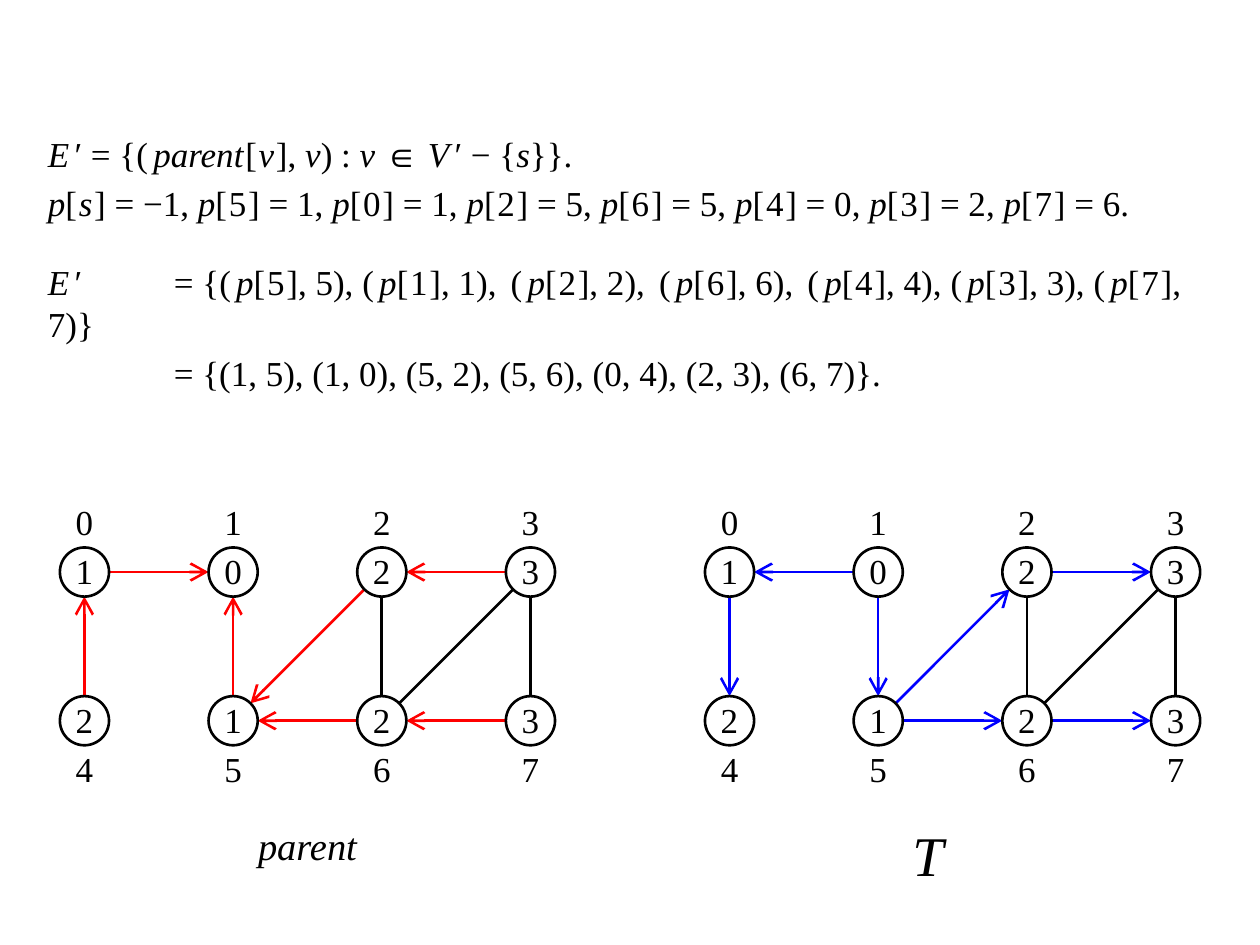
from dataclasses import dataclass
from itertools import groupby
from math import hypot

from pptx import Presentation
from pptx.dml.color import RGBColor
from pptx.enum.shapes import MSO_CONNECTOR, MSO_SHAPE
from pptx.enum.text import MSO_ANCHOR, MSO_AUTO_SIZE, PP_ALIGN
from pptx.oxml.ns import qn
from pptx.util import Inches, Pt
from lxml import etree

STRAIGHT = MSO_CONNECTOR.STRAIGHT
OVAL = MSO_SHAPE.OVAL
TOP, MIDDLE = MSO_ANCHOR.TOP, MSO_ANCHOR.MIDDLE
LEFT, CENTER = PP_ALIGN.LEFT, PP_ALIGN.CENTER
NO_AUTOFIT = MSO_AUTO_SIZE.NONE


@dataclass(frozen=True)
class Theme:
    font: str = "Times New Roman"
    ink: RGBColor = RGBColor(0, 0, 0)
    paper: RGBColor = RGBColor(255, 255, 255)
    parent: RGBColor = RGBColor(255, 0, 0)
    tree: RGBColor = RGBColor(0, 0, 255)
    body: int = 20
    caption: int = 22
    tree_caption: int = 32
    stroke: float = 1.5


THEME = Theme()

# Breadth-first tree as (parent, child), in order of discovery
TREE_EDGES = [(1, 5), (1, 0), (5, 2), (5, 6), (0, 4), (2, 3), (6, 7)]
OTHER_EDGES = [(6, 3), (6, 2), (7, 3)]
LEVELS = [1, 0, 2, 3, 2, 1, 2, 3]
COLUMNS = 4
PITCH = 1.18
NODE = 0.39
TOP_ROW = 4.54
LOOSE = {"^": 300, "~": 100}  # mark before a character: its extra spacing


def format_run(run, size=THEME.body, italic=False, spacing=0):
    run.font.name = THEME.font
    run.font.size = Pt(size)
    run.font.italic = italic
    run.font.color.rgb = THEME.ink
    if spacing:
        run._r.get_or_add_rPr().set("spc", str(spacing))


def write_text(frame, text, size=THEME.body, italic=False, align=CENTER,
               anchor=MIDDLE, wrap=False, insets=(0, 0)):
    frame.word_wrap = wrap
    frame.vertical_anchor = anchor
    frame.margin_left = frame.margin_right = Inches(0.1)
    frame.margin_top, frame.margin_bottom = map(Inches, insets)
    paragraph = frame.paragraphs[0]
    paragraph.alignment = align
    run = paragraph.add_run()
    run.text = text
    format_run(run, size, italic)


def styled_characters(formula):
    """Yield (character, (italic, spacing)); letters are variables, so italic."""
    spacing = 0
    for char in formula:
        if char in LOOSE:
            spacing = LOOSE[char]
        else:
            yield char, (char.isalpha(), spacing)
            spacing = 0


def add_formula(paragraph, formula, space_before):
    properties = paragraph._p.get_or_add_pPr()
    properties.set("marL", "0")
    properties.set("indent", "0")
    properties.set("defTabSz", str(Inches(1)))
    etree.SubElement(properties, qn("a:buNone"))
    paragraph.alignment = LEFT
    paragraph.space_before = Pt(space_before)
    for (italic, spacing), group in groupby(styled_characters(formula),
                                            key=lambda item: item[1]):
        run = paragraph.add_run()
        run.text = "".join(char for char, _ in group)
        format_run(run, italic=italic, spacing=spacing)


def add_formulas(body):
    parents = ", ".join(f"p~[~{child}] = {parent}" for parent, child in TREE_EDGES)
    pairs = ", ".join(f"({parent}, {child})" for parent, child in TREE_EDGES)
    lookups = ""
    for vertex in (5, 1, 2, 6, 4, 3, 7):
        gap = "" if vertex == 5 else ",^ " if vertex in (2, 6, 4) else ", "
        lookups += f"{gap}^(p~[~{vertex}], {vertex})"
    formulas = [
        ("^E′ = {^(paren~t~[~v], v) : v ∈ ^V′ − {s}}.", 0),
        (f"p~[~s] = −1, {parents}.", 4),
        (f"^E′\t= {{{lookups}}}", 21),
        (f"\t= {{{pairs}}}.", 4),
    ]
    body.left, body.top = Inches(0.28), Inches(0.99)
    body.width, body.height = Inches(9.45), Inches(1.97)
    frame = body.text_frame
    frame.word_wrap = True
    frame.auto_size = NO_AUTOFIT
    frame.vertical_anchor = TOP
    frame.margin_top = Inches(0.06)
    for index, (formula, space_before) in enumerate(formulas):
        paragraph = frame.add_paragraph() if index else frame.paragraphs[0]
        add_formula(paragraph, formula, space_before)


def add_label(slide, text, left, top, width, height, **text_format):
    box = slide.shapes.add_textbox(*map(Inches, (left, top, width, height)))
    write_text(box.text_frame, text, **text_format)


def add_node(slide, level, x, y):
    node = slide.shapes.add_shape(
        OVAL, *map(Inches, (x - NODE / 2, y - NODE / 2, NODE, NODE)))
    node.shadow.inherit = False
    node.fill.solid()
    node.fill.fore_color.rgb = THEME.paper
    node.line.color.rgb = THEME.ink
    node.line.width = Pt(THEME.stroke)
    write_text(node.text_frame, str(level), insets=(0, 0.02))


def add_edge(slide, start, end, color, arrow=None):
    """Join two node rims; arrow is headEnd (at start), tailEnd (at end) or None."""
    dx, dy = end[0] - start[0], end[1] - start[1]
    trim = NODE / 2 / hypot(dx, dy)
    edge = slide.shapes.add_connector(STRAIGHT, *map(Inches, (
        start[0] + dx * trim, start[1] + dy * trim,
        end[0] - dx * trim, end[1] - dy * trim)))
    edge.line.color.rgb = color
    edge.line.width = Pt(THEME.stroke)
    if arrow:
        etree.SubElement(edge.line._get_or_add_ln(), qn(f"a:{arrow}"),
                         type="arrow", w="lg", len="lg")
    etree.SubElement(edge._element.spPr, qn("a:effectLst"))


def add_graph(slide, first_x, color, arrow):
    centers = [(first_x + vertex % COLUMNS * PITCH,
                TOP_ROW + vertex // COLUMNS * PITCH)
               for vertex in range(len(LEVELS))]
    for start, end in OTHER_EDGES:
        add_edge(slide, centers[start], centers[end], THEME.ink)
    for parent, child in TREE_EDGES:
        add_edge(slide, centers[parent], centers[child], color, arrow)
    for vertex, (x, y) in enumerate(centers):
        add_node(slide, LEVELS[vertex], x, y)
        label_y = y - NODE if vertex < COLUMNS else y + NODE
        add_label(slide, str(vertex), x - NODE / 2, label_y - NODE / 2,
                  NODE, NODE, insets=(0.04, 0.06))


def main():
    presentation = Presentation()
    presentation.slide_width, presentation.slide_height = Inches(10), Inches(7.5)
    slide = presentation.slides.add_slide(presentation.slide_layouts[1])
    unused_title = slide.shapes.title._element
    unused_title.getparent().remove(unused_title)

    add_formulas(slide.placeholders[1])
    add_graph(slide, 0.67, THEME.parent, "headEnd")
    add_graph(slide, 5.79, THEME.tree, "tailEnd")
    add_label(slide, "parent", 1.85, 6.51, 1.18, 0.39,
              size=THEME.caption, italic=True, wrap=True)
    add_label(slide, "T", 6.97, 6.51, 0.79, 0.59, size=THEME.tree_caption,
              italic=True, wrap=True, anchor=TOP, insets=(0, 0.05))
    presentation.save("out.pptx")


if __name__ == "__main__":
    main()
